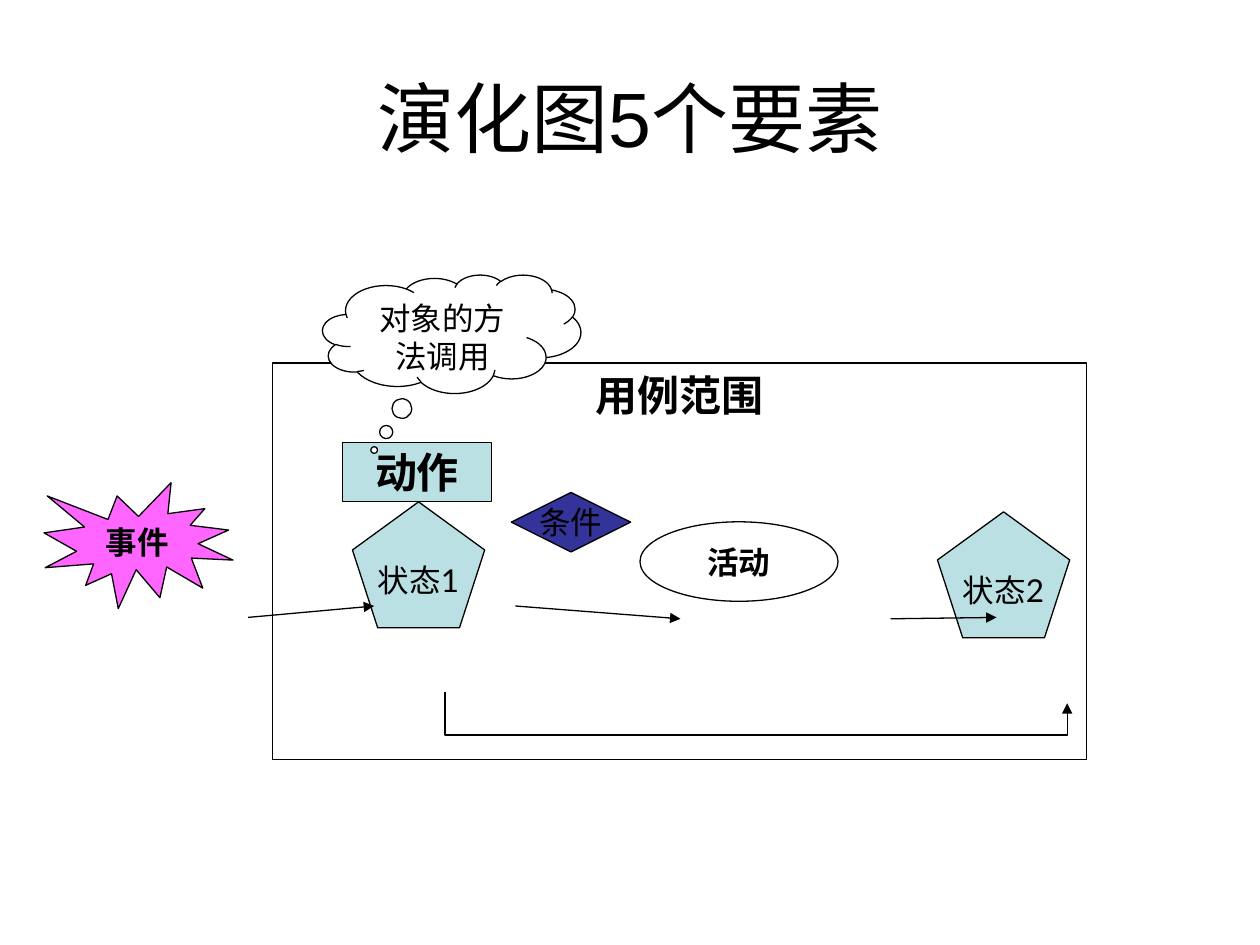
from lxml import etree
from pptx import Presentation
from pptx.dml.color import RGBColor
from pptx.enum import shapes, text
from pptx.oxml import ns
from pptx.util import Pt

COLORS = {"ink": "000000", "paper": "FFFFFF", "state": "BBE0E3",
          "event": "FF66FF", "condition": "333399"}
KIND = shapes.MSO_SHAPE
ANCHOR = text.MSO_ANCHOR


class EvolutionSlide:
    """Holds the drawing style and the current slide."""

    line_width = 0.75

    def __init__(self, slide):
        self.slide = slide

    def color(self, name):
        return RGBColor.from_string(COLORS[name])

    def label(self, frame, words, size, font, bold=False, anchor=ANCHOR.MIDDLE, wrap=False):
        frame.word_wrap = wrap
        frame.vertical_anchor = anchor
        paragraph = frame.paragraphs[0]
        paragraph.alignment = text.PP_ALIGN.CENTER
        run = paragraph.add_run()
        run.text = words
        run.font.size = Pt(size)
        run.font.name = font
        run.font.bold = bold
        run.font.color.rgb = self.color("ink")

    def title(self, words, box):
        heading = self.slide.shapes.add_textbox(*map(Pt, box))
        self.label(heading.text_frame, words, 44, "Arial", wrap=True)

    def node(self, kind, words, box, fill=None, size=18, font="Lato", **style):
        node = self.slide.shapes.add_shape(kind, *map(Pt, box))
        node.shadow.inherit = False
        if fill:
            node.fill.solid()
            node.fill.fore_color.rgb = self.color(fill)
        else:
            node.fill.background()
        node.line.color.rgb = self.color("ink")
        node.line.width = Pt(self.line_width)
        self.label(node.text_frame, words, size, font, **style)
        return node

    def arrow(self, start, end, kind=shapes.MSO_CONNECTOR.STRAIGHT):
        arrow = self.slide.shapes.add_connector(kind, *map(Pt, (*start, *end)))
        arrow.line.color.rgb = self.color("ink")
        arrow.line.width = Pt(self.line_width)
        properties = arrow._element.spPr
        line = properties.find(ns.qn("a:ln"))
        etree.SubElement(line, ns.qn("a:tailEnd"), type="triangle")
        etree.SubElement(properties, ns.qn("a:effectLst"))
        return arrow

    def arrow_below(self, start, end, floor):
        """Runs down from start to floor, across, and up to end."""
        (x1, y1), (x2, y2) = start, end
        span, rise = x2 - x1, y2 - y1
        # The connector is laid out upright, then turned about its centre
        left, top = (x1 + x2 - rise) / 2, (y1 + y2 - span) / 2
        arrow = self.arrow((left, top), (left + rise, top + span),
                           shapes.MSO_CONNECTOR.ELBOW)
        properties = arrow._element.spPr
        frame = properties.find(ns.qn("a:xfrm"))
        frame.set("rot", str(270 * 60000))
        frame.set("flipH", "1")
        geometry = properties.find(ns.qn("a:prstGeom"))
        guides = geometry.find(ns.qn("a:avLst"))
        if guides is None:
            guides = etree.SubElement(geometry, ns.qn("a:avLst"))
        bend = round((floor - y1) / rise * 100000)
        etree.SubElement(guides, ns.qn("a:gd"), name="adj1", fmla=f"val {bend}")


def main():
    deck = Presentation()
    deck.slide_width, deck.slide_height = Pt(720), Pt(540)
    page = EvolutionSlide(deck.slides.add_slide(deck.slide_layouts[6]))

    page.title("演化图5个要素", (36, 21.6, 648, 90))

    # Use case scope and the action inside it
    heading = dict(size=24, font="Arial", bold=True)
    page.node(KIND.RECTANGLE, "用例范围", (155.75, 207.4, 465, 226.8),
              anchor=ANCHOR.TOP, **heading)
    page.node(KIND.RECTANGLE, "动作", (195.8, 252.8, 85, 34), "state", **heading)

    # Event, states and condition
    page.node(KIND.EXPLOSION1, "事件", (25.2, 275.8, 108, 72), "event", bold=True)
    for words, left, top in (("状态1", 201.4, 286.8), ("状态2", 535.7, 292.5)):
        page.node(KIND.REGULAR_PENTAGON, words, (left, top, 75.6, 72), "state")
    page.node(KIND.DIAMOND, "条件", (292.2, 281.4, 68.2, 34), "condition")

    # Flow from event to second state, by way of the activity
    page.arrow((141.8, 352.8), (213.8, 346.3))
    page.arrow((294.5, 346.3), (388.8, 353.6))
    page.node(KIND.OVAL, "活动", (365.7, 298.2, 113.2, 45.4), bold=True)
    page.arrow((509, 353.6), (569.5, 352.8))

    # Note on the action
    note = page.node(KIND.CLOUD_CALLOUT, "对象的方法调用", (184.3, 157, 147.6, 67.7),
                     "paper", anchor=ANCHOR.TOP, wrap=True)
    note.adjustments[0], note.adjustments[1] = -0.3, 0.98

    # Direct path from first to second state
    page.arrow_below((254.2, 395.4), (609.8, 401.9), 420)

    deck.save("out.pptx")


if __name__ == "__main__":
    main()
